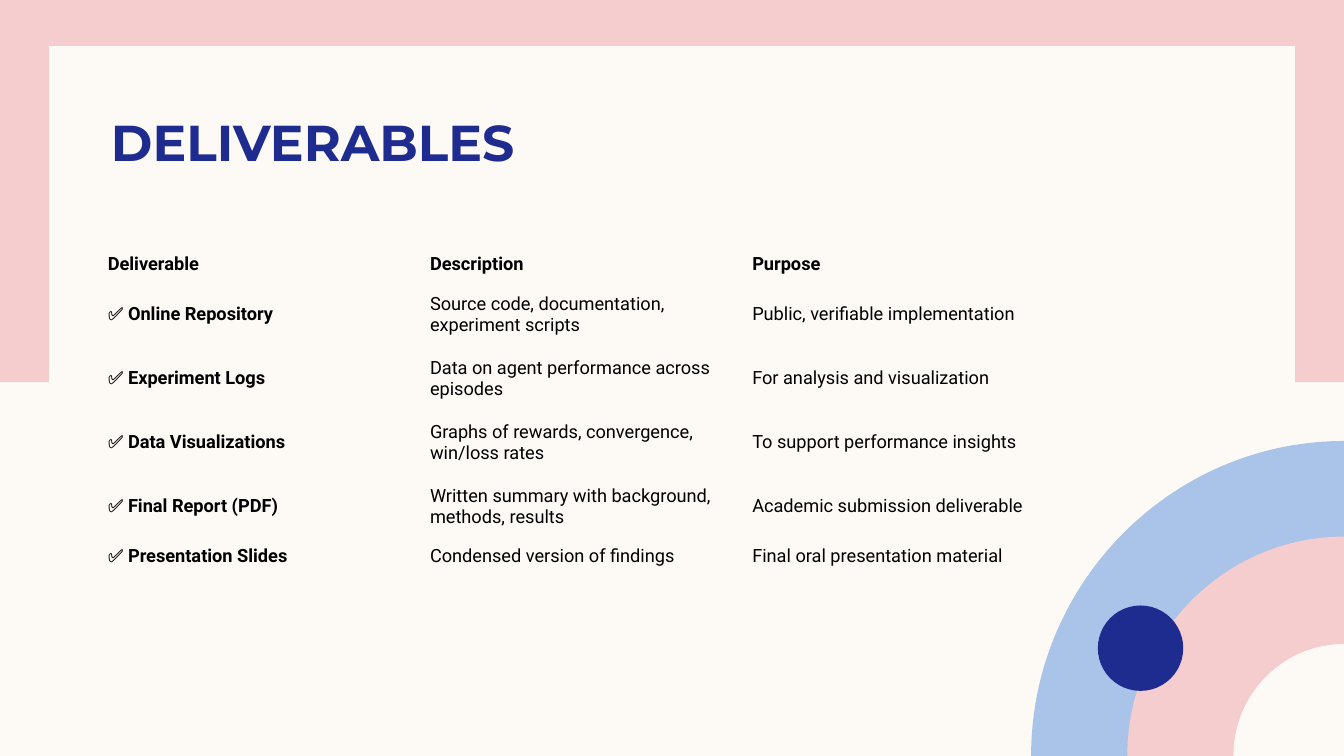
"""Build the Deliverables slide."""
from lxml.etree import SubElement
from pptx import Presentation
from pptx.dml.color import RGBColor
from pptx.enum.shapes import MSO_SHAPE as SHAPE
from pptx.enum.text import MSO_ANCHOR as ANCHOR, PP_ALIGN as ALIGN
from pptx.oxml.ns import qn
from pptx.util import Pt

CREAM = RGBColor(0xFD, 0xFA, 0xF6)
PINK = RGBColor(0xF5, 0xCD, 0xCE)
BLUE = RGBColor(0xAA, 0xC3, 0xE8)
NAVY = RGBColor(0x1F, 0x2C, 0x8F)
BLACK = RGBColor(0, 0, 0)

TITLE = "DELIVERABLES"
HEADER = ("Deliverable", "Description", "Purpose")
ROWS = [
    ("Online Repository", "Source code, documentation, experiment scripts",
     "Public, verifiable implementation"),
    ("Experiment Logs", "Data on agent performance across episodes",
     "For analysis and visualization"),
    ("Data Visualizations", "Graphs of rewards, convergence, win/loss rates",
     "To support performance insights"),
    ("Final Report (PDF)", "Written summary with background, methods, results",
     "Academic submission deliverable"),
    ("Presentation Slides", "Condensed version of findings",
     "Final oral presentation material"),
]
WIDTH, HEIGHT = 960, 540
BLOCKS = [
    (SHAPE.RECTANGLE, 0, 0, WIDTH, 273, PINK),
    (SHAPE.RECTANGLE, 35, 33, 890, 474.6, CREAM),
]
DOT = (SHAPE.OVAL, 784.2, 432.5, 61, 61, NAVY)
ARCS = [(223.5, 225, BLUE), (154.8, 156.7, PINK), (79, 80, CREAM)]
BEND = 0.55
TABLE_LEFT, TABLE_TOP, COL_WIDTH = 72, 175.7, 230.2
ROW_HEIGHTS = [26] + [45.75] * 4 + [26]
NO_GRID = "{2D5ABB26-0587-4C30-8999-92F81FD0307C}"


def paint(shape, color):
    shape.fill.solid()
    shape.fill.fore_color.rgb = color
    shape.line.fill.background()
    shape.shadow.inherit = False


def add_block(s, kind, x, y, w, h, color):
    paint(s.shapes.add_shape(kind, Pt(x), Pt(y), Pt(w), Pt(h)), color)


def add_quarter(s, rx, ry, color):
    outline = [(rx, 0), (rx, BEND * ry), (BEND * rx, ry), (0, ry)]
    points = [(100 * (WIDTH - x), 100 * (HEIGHT - y)) for x, y in outline]
    builder = s.shapes.build_freeform(100 * WIDTH, 100 * HEIGHT, scale=Pt(0.01))
    builder.add_line_segments(points, close=True)
    shape = builder.convert_to_shape()
    lines = list(shape._element.iter(qn("a:lnTo")))[1:4]
    curve = SubElement(lines[0].getparent(), qn("a:cubicBezTo"))
    lines[0].addprevious(curve)
    for line in lines:
        curve.append(line[0])
        line.getparent().remove(line)
    paint(shape, color)


def add_run(p, text, font, size, color, bold):
    r = p.add_run()
    r.text = text
    r.font.name, r.font.size, r.font.bold = font, Pt(size), bold
    r.font.color.rgb = color


def add_title(s):
    title = s.shapes.title
    s.shapes._spTree.append(title._element)
    title.left, title.top, title.width, title.height = Pt(72), Pt(76.3), Pt(601), Pt(46.8)
    tf = title.text_frame
    tf.word_wrap = True
    tf.vertical_anchor = ANCHOR.BOTTOM
    tf.margin_left = tf.margin_right = Pt(7.2)
    tf.margin_top = tf.margin_bottom = 0
    p = tf.paragraphs[0]
    p.alignment = ALIGN.LEFT
    p.line_spacing = 0.9
    add_run(p, TITLE, "Montserrat", 36, NAVY, True)


def add_deliverables(s):
    frame = s.shapes.add_table(len(ROW_HEIGHTS), len(HEADER), Pt(TABLE_LEFT), Pt(TABLE_TOP),
                               Pt(COL_WIDTH * len(HEADER)), Pt(sum(ROW_HEIGHTS)))
    table = frame.table
    table.first_row = table.horz_banding = False
    frame._element.find(".//" + qn("a:tableStyleId")).text = NO_GRID
    for col in table.columns:
        col.width = Pt(COL_WIDTH)
    for i, (height, values) in enumerate(zip(ROW_HEIGHTS, [HEADER] + ROWS)):
        table.rows[i].height = Pt(height)
        for j, value in enumerate(values):
            cell = table.cell(i, j)
            cell.fill.background()
            cell.vertical_anchor = ANCHOR.MIDDLE
            cell.margin_left = cell.margin_right = Pt(5)
            cell.margin_top = cell.margin_bottom = Pt(2.6)
            p = cell.text_frame.paragraphs[0]
            if i > 0 and j == 0:
                add_run(p, "✅ ", "Roboto", 13, BLACK, False)
            add_run(p, value, "Roboto", 13, BLACK, i == 0 or j == 0)


def main():
    prs = Presentation()
    prs.slide_width, prs.slide_height = Pt(WIDTH), Pt(HEIGHT)
    s = prs.slides.add_slide(prs.slide_layouts[5])
    s.background.fill.solid()
    s.background.fill.fore_color.rgb = CREAM
    for block in BLOCKS:
        add_block(s, *block)
    for arc in ARCS:
        add_quarter(s, *arc)
    add_block(s, *DOT)
    add_title(s)
    add_deliverables(s)
    prs.save("out.pptx")


if __name__ == "__main__":
    main()
